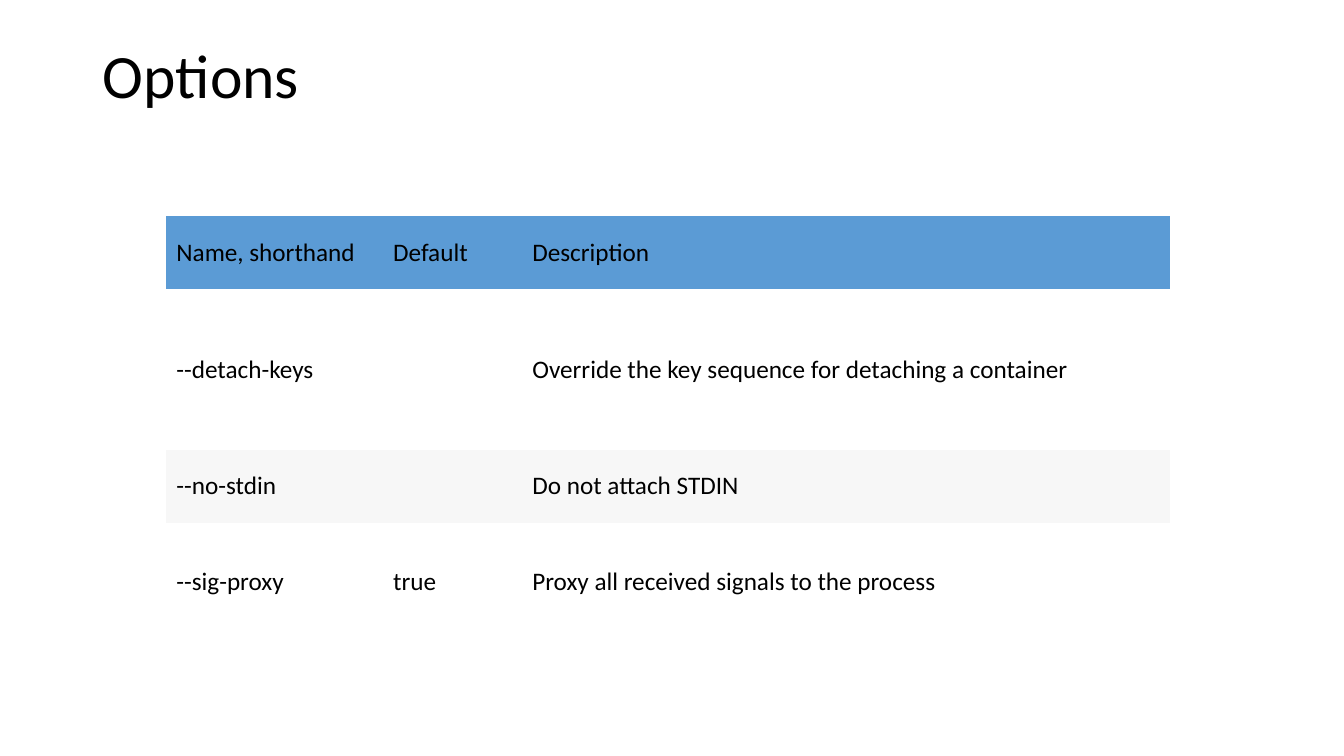
from pptx import Presentation
from pptx import util as u
from pptx.dml.color import RGBColor
from pptx.enum import text
from pptx.oxml.ns import qn
from lxml import etree

BLACK = RGBColor(0x00, 0x00, 0x00)
WHITE = RGBColor(0xFF, 0xFF, 0xFF)
BLUE = RGBColor(0x5B, 0x9B, 0xD5)
PALE_GREY = RGBColor(0xF7, 0xF7, 0xF7)

COLUMN_WIDTHS = [2.15, 1.38, 6.42]
# Each row: height, fill, wording
OPTIONS = [
    (0.73, BLUE, ["Name, shorthand", "Default", "Description"]),
    (1.59, WHITE, ["--detach-keys", "",
                   "Override the key sequence for detaching a container"]),
    (0.73, PALE_GREY, ["--no-stdin", "", "Do not attach STDIN"]),
    (1.16, WHITE, ["--sig-proxy", "true",
                   "Proxy all received signals to the process"]),
]


class SlideBuilder:
    font = "Calibri"
    cell_inset = u.Inches(0.1)

    def __init__(self, slide):
        self.slide = slide

    def add_run(self, paragraph, wording, size):
        run = paragraph.add_run()
        run.text = wording
        run.font.name = self.font
        run.font.size = u.Pt(size)
        run.font.bold = False
        run.font.color.rgb = BLACK

    def title(self, wording, left, top, width, height):
        heading = self.slide.shapes.title
        heading.left, heading.top = u.Inches(left), u.Inches(top)
        heading.width, heading.height = u.Inches(width), u.Inches(height)
        frame = heading.text_frame
        frame.word_wrap = True
        frame.vertical_anchor = text.MSO_ANCHOR.TOP
        paragraph = frame.paragraphs[0]
        paragraph.alignment = text.PP_ALIGN.LEFT
        paragraph.line_spacing = 0.9
        self.add_run(paragraph, wording, 44)

    def cell(self, cell, wording, fill):
        cell.vertical_anchor = text.MSO_ANCHOR.MIDDLE
        cell.margin_left = cell.margin_right = self.cell_inset
        cell.margin_top = cell.margin_bottom = self.cell_inset
        cell.fill.solid()
        cell.fill.fore_color.rgb = fill
        if wording:
            self.add_run(cell.text_frame.paragraphs[0], wording, 18)
        # Borders off on all four sides
        properties = cell._tc.get_or_add_tcPr()
        for position, side in enumerate(["a:lnL", "a:lnR", "a:lnT", "a:lnB"]):
            border = etree.Element(qn(side), w="0")
            etree.SubElement(border, qn("a:noFill"))
            properties.insert(position, border)

    def table(self, rows, widths, left, top):
        height = sum(row[0] for row in rows)
        table = self.slide.shapes.add_table(
            len(rows), len(widths), u.Inches(left), u.Inches(top),
            u.Inches(sum(widths)), u.Inches(height)).table
        table.first_row = table.horz_banding = False
        for column, width in zip(table.columns, widths):
            column.width = u.Inches(width)
        for row, (row_height, fill, wordings) in zip(table.rows, rows):
            row.height = u.Inches(row_height)
            for cell, wording in zip(row.cells, wordings):
                self.cell(cell, wording, fill)


def main():
    deck = Presentation()
    deck.slide_width, deck.slide_height = u.Inches(13.33), u.Inches(7.5)
    title_only = deck.slide_layouts[5]
    builder = SlideBuilder(deck.slides.add_slide(title_only))

    # Heading
    builder.title("Options", 0.92, 0.4, 11.5, 1.45)

    # Options table
    builder.table(OPTIONS, COLUMN_WIDTHS, 1.65, 2.14)

    deck.save("out.pptx")


if __name__ == "__main__":
    main()
